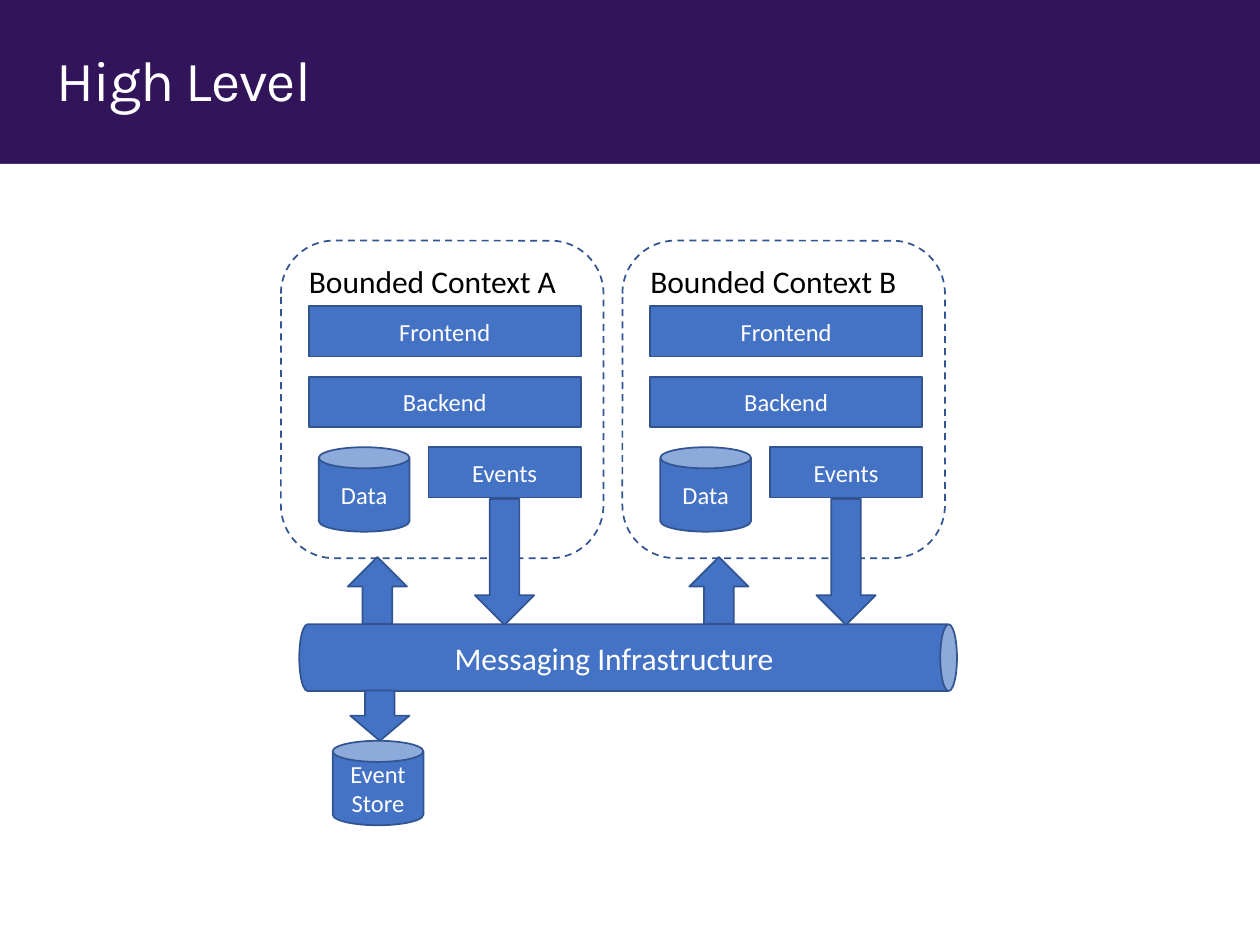
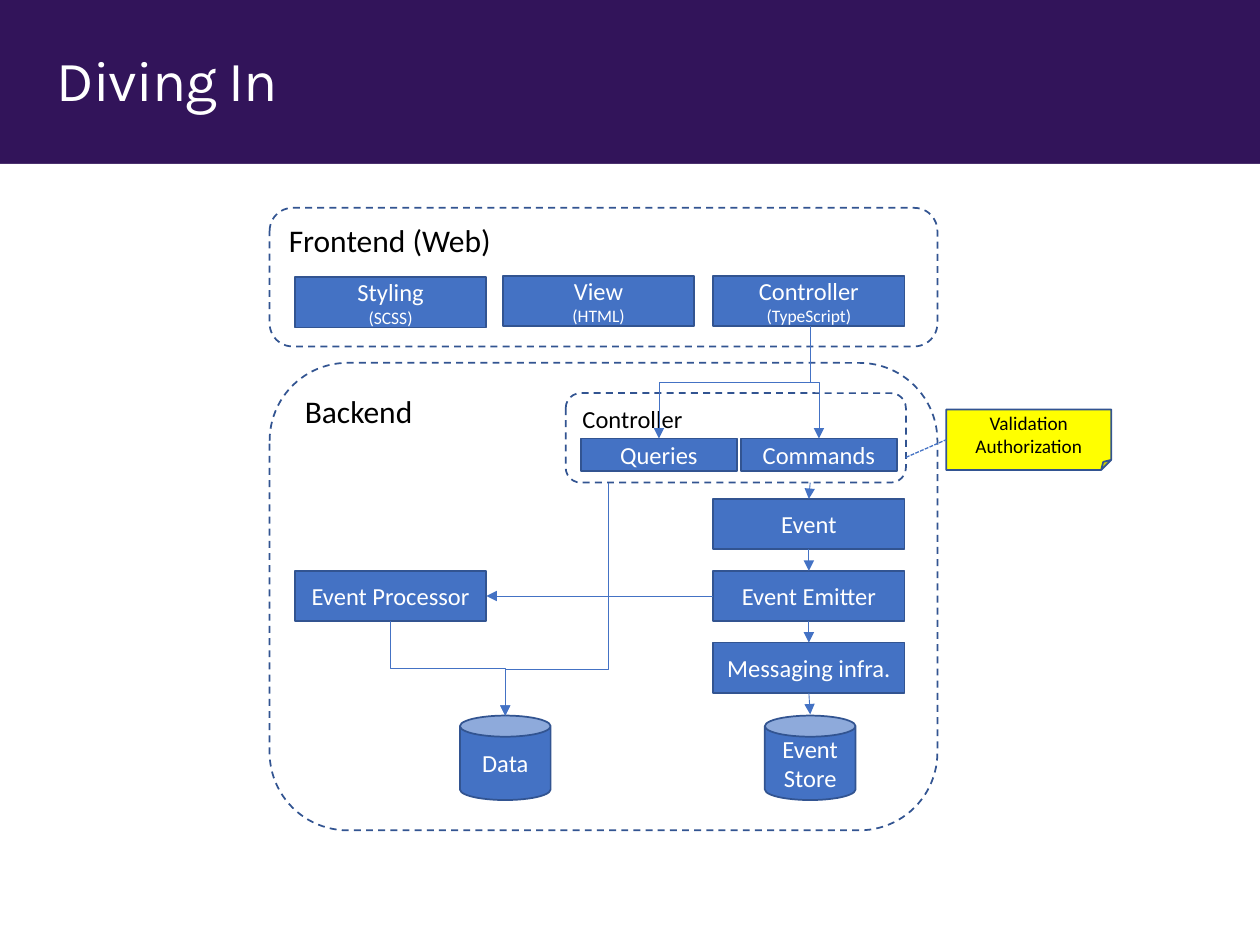
from dataclasses import dataclass
from typing import Optional

from lxml import etree
from pptx import Presentation
from pptx import util as u
from pptx.dml.color import RGBColor
from pptx.enum import dml, shapes, text
from pptx.oxml.ns import qn

PURPLE = RGBColor(0x32, 0x14, 0x5A)
WHITE = RGBColor(0xFF, 0xFF, 0xFF)
BLACK = RGBColor(0x00, 0x00, 0x00)
BLUE = RGBColor(0x44, 0x72, 0xC4)
OUTLINE = RGBColor(0x32, 0x54, 0x91)
YELLOW = RGBColor(0xFF, 0xFF, 0x00)

TITLE_FONT = "Karla"
BODY_FONT = "Calibri"
KIND = shapes.MSO_SHAPE
TOP, LEFT, BOTTOM, RIGHT = range(4)

CONTEXT_STEP = 2.71
ROW_HEIGHT = 0.4
STEP_WIDTH = 1.52
CAN_WIDTH, CAN_HEIGHT = 0.72, 0.67
ARROW_WIDTH = 0.47


@dataclass(frozen=True)
class Look:
    fill: Optional[RGBColor]
    ink: RGBColor
    align: text.PP_ALIGN = text.PP_ALIGN.CENTER
    anchor: text.MSO_ANCHOR = text.MSO_ANCHOR.MIDDLE
    dash: Optional[dml.MSO_LINE] = None


SOLID = Look(BLUE, WHITE)
NOTE = Look(YELLOW, BLACK)
FRAME = Look(None, BLACK, text.PP_ALIGN.LEFT, text.MSO_ANCHOR.TOP, dml.MSO_LINE.DASH)


@dataclass(frozen=True)
class Node:
    left: float
    top: float
    width: float
    height: float
    lines: tuple = ()
    size: float = 14
    kind: KIND = KIND.RECTANGLE
    look: Look = SOLID
    rotation: float = 0
    detail_size: Optional[float] = None


@dataclass(frozen=True)
class Link:
    start: tuple
    end: tuple
    source: Optional[tuple] = None
    target: Optional[tuple] = None
    bend: Optional[float] = None
    dashed: bool = False


def frame(left, top, width, height, label, size=18) -> Node:
    return Node(left, top, width, height, (label,), size, KIND.ROUNDED_RECTANGLE, FRAME)


def can(left, top, label) -> Node:
    return Node(left, top, CAN_WIDTH, CAN_HEIGHT, (label,), kind=KIND.CAN)


def arrow(left, top, height, rotation=0) -> Node:
    return Node(left, top, ARROW_WIDTH, height, kind=KIND.DOWN_ARROW, rotation=rotation)


def add_run(paragraph, content: str, size: float, color: RGBColor, font: str = BODY_FONT):
    run = paragraph.add_run()
    run.text = content
    run.font.size = u.Pt(size)
    run.font.name = font
    run.font.color.rgb = color
    return run


def draw_node(slide, node: Node):
    look = node.look
    shape = slide.shapes.add_shape(
        node.kind, *map(u.Inches, (node.left, node.top, node.width, node.height)))
    shape.shadow.inherit = False
    shape.rotation = node.rotation
    if look.fill is None:
        shape.fill.background()
    else:
        shape.fill.solid()
        shape.fill.fore_color.rgb = look.fill
    shape.line.color.rgb = OUTLINE
    shape.line.width = u.Pt(1)
    if look.dash is not None:
        shape.line.dash_style = look.dash
    frame_text = shape.text_frame
    frame_text.word_wrap = True
    frame_text.vertical_anchor = look.anchor
    for index, content in enumerate(node.lines):
        paragraph = frame_text.add_paragraph() if index else frame_text.paragraphs[0]
        paragraph.alignment = look.align
        size = node.detail_size if index and node.detail_size else node.size
        add_run(paragraph, content, size, look.ink)
    return shape


def route_vertically(connector, link: Link) -> None:
    (x1, y1), (x2, y2) = link.start, link.end
    length, spread = y2 - y1, abs(x2 - x1)
    connector.left = u.Inches((x1 + x2 - length) / 2)
    connector.top = u.Inches((y1 + y2 - spread) / 2)
    connector.width, connector.height = u.Inches(length), u.Inches(spread)
    properties = connector._element.spPr
    transform = properties.find(qn("a:xfrm"))
    for flip in ("flipH", "flipV"):
        transform.attrib.pop(flip, None)
    transform.set("rot", str((90 if x2 < x1 else 270) * 60000))
    if x2 > x1:
        transform.set("flipH", "1")
    adjustments = properties.find(qn("a:prstGeom")).get_or_add_avLst()
    etree.SubElement(adjustments, qn("a:gd"), name="adj1",
                     fmla=f"val {round(link.bend * 100000)}")


def draw_link(slide, link: Link, drawn: dict) -> None:
    kind = shapes.MSO_CONNECTOR.STRAIGHT if link.bend is None else shapes.MSO_CONNECTOR.ELBOW
    connector = slide.shapes.add_connector(kind, *map(u.Inches, link.start + link.end))
    if link.source:
        connector.begin_connect(drawn[link.source[0]], link.source[1])
    if link.target:
        connector.end_connect(drawn[link.target[0]], link.target[1])
    if link.bend is not None:
        route_vertically(connector, link)
    connector.line.color.rgb = BLUE
    connector.line.width = u.Pt(0.75 if link.dashed else 0.5)
    properties = connector._element.spPr
    if link.dashed:
        connector.line.dash_style = dml.MSO_LINE.SQUARE_DOT
    else:
        etree.SubElement(properties.find(qn("a:ln")), qn("a:tailEnd"), type="triangle")
    etree.SubElement(properties, qn("a:effectLst"))


def prepare_layout(presentation):
    layout = presentation.slide_layouts[5]
    layout.background.fill.solid()
    layout.background.fill.fore_color.rgb = PURPLE
    return layout


def add_titled_slide(presentation, layout, title: str):
    slide = presentation.slides.add_slide(layout)
    panel = slide.shapes.add_shape(KIND.RECTANGLE, *map(u.Inches, (0, 1.3, 10, 6.2)))
    panel.shadow.inherit = False
    panel.fill.solid()
    panel.fill.fore_color.rgb = WHITE
    panel.line.fill.background()
    slide.shapes.element.insert(2, panel._element)

    heading = slide.shapes.title
    heading.left, heading.top, heading.width, heading.height = map(
        u.Inches, (0.29, 0.32, 9.41, 0.98))
    heading_text = heading.text_frame
    heading_text.margin_left = heading_text.margin_right = u.Inches(0.16)
    heading_text.margin_top = heading_text.margin_bottom = u.Inches(0.1)
    heading_text.vertical_anchor = text.MSO_ANCHOR.TOP
    heading_text.auto_size = text.MSO_AUTO_SIZE.NONE
    paragraph = heading_text.paragraphs[0]
    paragraph.alignment = text.PP_ALIGN.LEFT
    paragraph.line_spacing = 0.9
    run = add_run(paragraph, title, 32.4, WHITE, TITLE_FONT)
    run.font._element.set("spc", "-60")
    return slide


def context_nodes(name: str, offset: float) -> list[Node]:
    return [
        frame(2.23 + offset, 1.91, 2.56, 2.52, f"Bounded Context {name}"),
        Node(2.45 + offset, 2.43, 2.16, ROW_HEIGHT, ("Frontend",)),
        Node(2.45 + offset, 2.99, 2.16, ROW_HEIGHT, ("Backend",)),
        can(2.53 + offset, 3.55, "Data"),
        Node(3.4 + offset, 3.55, 1.21, ROW_HEIGHT, ("Events",)),
        arrow(3.77 + offset, 3.96, 1),
        arrow(2.76 + offset, 4.42, 0.53, 180),
    ]


def build_high_level(presentation, layout) -> None:
    slide = add_titled_slide(presentation, layout, "High Level")
    draw_node(slide, Node(4.72, 2.61, 0.53, 5.22, kind=KIND.CAN, rotation=90))
    for index, name in enumerate("AB"):
        for node in context_nodes(name, index * CONTEXT_STEP):
            draw_node(slide, node)
    draw_node(slide, can(2.64, 5.88, "Event Store"))
    draw_node(slide, arrow(2.78, 5.48, 0.4))
    label = slide.shapes.add_textbox(*map(u.Inches, (3.51, 5.02, 3.04, 0.4)))
    label.text_frame.word_wrap = True
    add_run(label.text_frame.paragraphs[0], "Messaging Infrastructure", 18, WHITE)


def step(left, top, *lines) -> Node:
    return Node(left, top, STEP_WIDTH, ROW_HEIGHT, lines, detail_size=10)


def build_diving_in(presentation, layout) -> None:
    slide = add_titled_slide(presentation, layout, "Diving In")
    flow_left, flow_center, flow_top, flow_step = 5.66, 6.43, 3.96, 0.57
    nodes = {
        "frontend": frame(2.14, 1.65, 5.3, 1.1, "Frontend (Web)"),
        "backend": frame(2.14, 2.88, 5.3, 3.71, "Backend"),
        "controller": frame(4.49, 3.12, 2.7, 0.71, "Controller", 14),
        "styling": step(2.34, 2.2, "Styling", "(SCSS)"),
        "view": step(3.99, 2.19, "View", "(HTML)"),
        "web controller": step(flow_left, 2.19, "Controller", "(TypeScript)"),
        "queries": Node(4.61, 3.48, 1.24, 0.26, ("Queries",)),
        "commands": Node(5.88, 3.48, 1.24, 0.26, ("Commands",)),
        "note": Node(7.51, 3.25, 1.31, 0.48, ("Validation", "Authorization"), 11,
                     KIND.FOLDED_CORNER, NOTE),
        "processor": step(2.34, 4.53, "Event Processor"),
        "data": can(3.65, 5.68, "Data"),
        "store": can(6.07, 5.68, "Event Store"),
    }
    flow = ("Event", "Event Emitter", "Messaging infra.")
    for index, label in enumerate(flow):
        nodes[label] = step(flow_left, flow_top + index * flow_step, label)
    drawn = {name: draw_node(slide, node) for name, node in nodes.items()}

    web_exit = (flow_center, 2.59)
    web_source = ("web controller", BOTTOM)
    data_top = (4.01, 5.68)
    links = [
        Link(web_exit, (5.23, 3.48), web_source, ("queries", TOP), 0.5),
        Link(web_exit, (6.5, 3.48), web_source, ("commands", TOP), 0.5),
        Link((4.83, 3.83), data_top, bend=0.8),
        Link((3.1, 4.93), data_top, ("processor", BOTTOM), bend=0.5),
        Link((flow_left, 4.73), (3.86, 4.73), ("Event Emitter", LEFT), ("processor", RIGHT)),
        Link((7.19, 3.63), (7.51, 3.49), target=("note", LEFT), dashed=True),
    ]
    for index in range(len(flow) + 1):
        arrival = flow_top + index * flow_step
        departure = arrival - flow_step + ROW_HEIGHT if index else 3.83
        links.append(Link(
            (flow_center, departure), (flow_center, arrival),
            (flow[index - 1], BOTTOM) if index else None,
            (flow[index], TOP) if index < len(flow) else None))
    for link in links:
        draw_link(slide, link, drawn)


def main() -> None:
    presentation = Presentation()
    presentation.slide_width, presentation.slide_height = u.Inches(10), u.Inches(7.5)
    layout = prepare_layout(presentation)
    build_high_level(presentation, layout)
    build_diving_in(presentation, layout)
    presentation.save("out.pptx")


if __name__ == "__main__":
    main()
